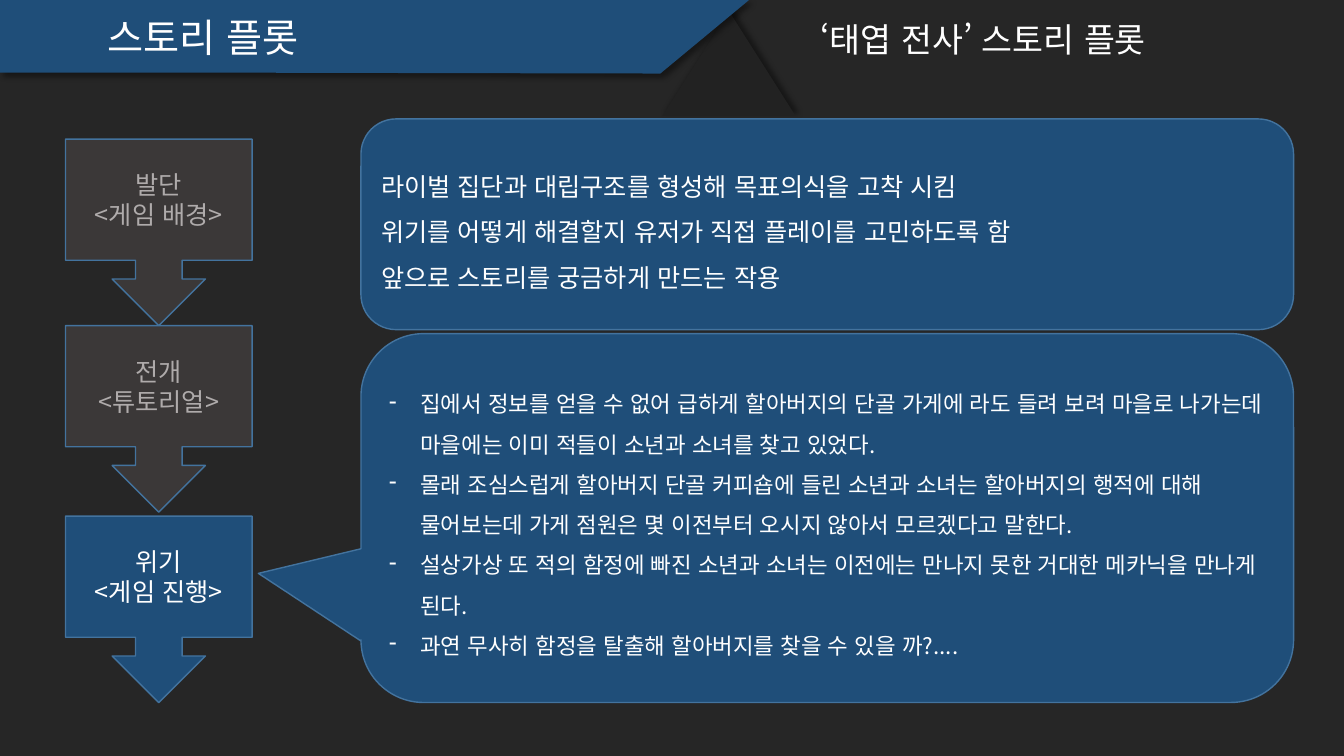
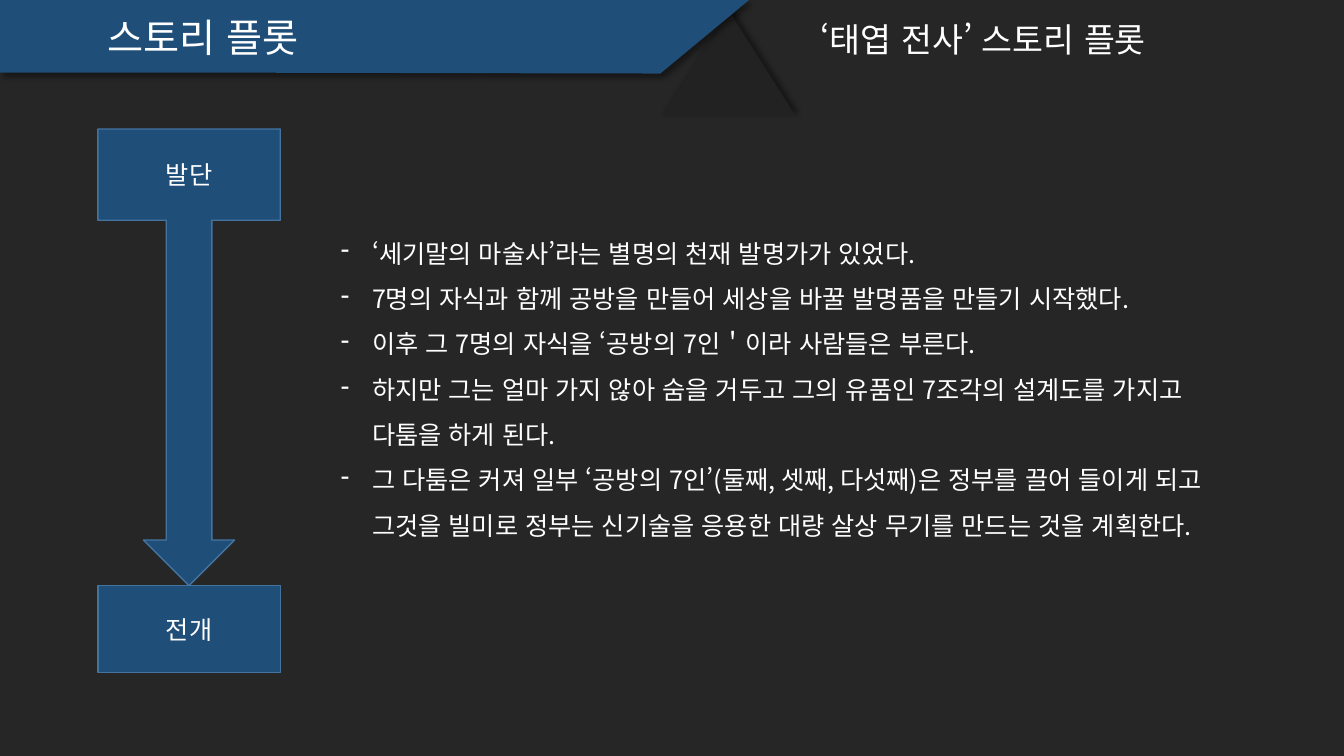
from collections import namedtuple

from lxml import etree
from pptx import Presentation
from pptx import util as u
from pptx.dml.color import RGBColor
from pptx.enum import lang, shapes, text
from pptx.oxml.ns import qn

PX = u.Inches(1) // 100
FONT = "Noto Sans CJK KR"
BACK, NAVY, EDGE, WEDGE = "262626", "1F4E79", "43739E", "222222"
DIM_FILL, DIM_TEXT, WHITE = "3B3838", "AFABAB", "FFFFFF"
KIND = shapes.MSO_SHAPE
LEFT, CENTER = text.PP_ALIGN.LEFT, text.PP_ALIGN.CENTER
TOP, MIDDLE = text.MSO_ANCHOR.TOP, text.MSO_ANCHOR.MIDDLE

Box = namedtuple("Box", "x y w h")


def paint(color_format, color):
    color_format.rgb = RGBColor.from_string(color)


def emu(box):
    return [value * PX for value in box]


def place(shape, box):
    shape.left, shape.top, shape.width, shape.height = emu(box)


def fill_shape(shape, fill, edge=None):
    shape.shadow.inherit = False
    shape.fill.solid()
    paint(shape.fill.fore_color, fill)
    if edge:
        paint(shape.line.color, edge)
        shape.line.width = u.Pt(1)
    else:
        shape.line.fill.background()


def cast_shadow(shape, degrees):
    effects = shape.element.spPr.find(qn("a:effectLst"))
    shadow = etree.SubElement(
        effects, qn("a:outerShdw"), blurRad=str(u.Pt(4)), dist=str(u.Pt(3)),
        dir=str(degrees * 60000), algn="ctr", rotWithShape="0")
    color = etree.SubElement(shadow, qn("a:srgbClr"), val="000000")
    etree.SubElement(color, qn("a:alpha"), val="40000")


def dash_bullet(para):
    props = para._p.get_or_add_pPr()
    indent = 31 * PX
    props.set("marL", str(indent))
    props.set("indent", str(-indent))
    etree.SubElement(props, qn("a:buFontTx"))
    etree.SubElement(props, qn("a:buChar"), char="-")


def write(shape, lines, size, color=WHITE, align=LEFT, anchor=MIDDLE,
          spacing=1.0, dashes=False, wrap=True, grow=False):
    frame = shape.text_frame
    frame.word_wrap = wrap
    frame.vertical_anchor = anchor
    fit = text.MSO_AUTO_SIZE
    frame.auto_size = fit.SHAPE_TO_FIT_TEXT if grow else fit.NONE
    for index, line in enumerate(lines):
        para = frame.add_paragraph() if index else frame.paragraphs[0]
        para.alignment = align
        para.line_spacing = spacing
        para.space_before = u.Pt(0)
        if dashes:
            dash_bullet(para)
        span = para.add_run()
        span.text = line
        span.font.size = u.Pt(size)
        span.font.name = FONT
        span.font.language_id = lang.MSO_LANGUAGE_ID.KOREAN
        paint(span.font.color, color)
        etree.SubElement(span._r.get_or_add_rPr(), qn("a:ea"), typeface=FONT)


def panel(page, kind, box, fill, lines, size=18, adjust=(), **style):
    shape = page.shapes.add_shape(kind, *emu(box))
    for index, value in enumerate(adjust):
        shape.adjustments[index] = value
    fill_shape(shape, fill, EDGE)
    write(shape, lines, size, **style)


# Shared background and title band, held by the master
def dress_master(deck, page):
    master = deck.slide_master
    master.background.fill.solid()
    paint(master.background.fill.fore_color, BACK)

    wedge = page.shapes.add_shape(
        KIND.ISOSCELES_TRIANGLE, *emu(Box(657, 11, 132, 104)))
    outline = page.shapes.build_freeform(0, 0, PX)
    outline.add_line_segments([(743, 0), (655, 73), (155, 72), (0, 72)])
    band = outline.convert_to_shape()

    parts = ((wedge, WEDGE, 315), (band, NAVY, 45))
    for index, (shape, fill, degrees) in enumerate(parts):
        fill_shape(shape, fill)
        cast_shadow(shape, degrees)
        shape.element.nvSpPr.cNvPr.set("id", str(101 + index))
        master.shapes.element.insert(2 + index, shape.element)


# Title on the band and heading to its right
def header(page, title, heading):
    style = dict(anchor=TOP, wrap=False, grow=True)
    place(page.shapes.title, Box(97, 8, 230, 57))
    write(page.shapes.title, [title], 28, **style)
    label = page.shapes.add_textbox(*emu(Box(804, 14, 374, 50)))
    write(label, [heading], 24, **style)


# Column of step arrows; the last one is active and stands at the bottom
def step_column(page, box, steps):
    side = box.w
    for index, lines in enumerate(steps):
        active = index == len(steps) - 1
        top = box.y + box.h - side if active else box.y + index * side
        panel(page, KIND.DOWN_ARROW_CALLOUT, Box(box.x, top, side, side),
              NAVY if active else DIM_FILL, lines, align=CENTER,
              color=WHITE if active else DIM_TEXT)


# Purpose panel above the story callout
def story_panels(page, box, purpose, story):
    upper, gap = 209, 4
    lower = Box(box.x, box.y + upper + gap, box.w, box.h - upper - gap)
    panel(page, KIND.ROUNDED_RECTANGULAR_CALLOUT, lower, NAVY, story, size=16,
          adjust=(-0.61, 0.15, 0.17), spacing=1.5, dashes=True)
    panel(page, KIND.ROUNDED_RECTANGLE, Box(box.x, box.y, box.w, upper),
          NAVY, purpose, spacing=1.5)


# Long arrow from the first stage to the next
def stage_arrow(page, box, start, end):
    foot = 86
    reach = box.h - foot
    panel(page, KIND.DOWN_ARROW_CALLOUT, Box(box.x, box.y, box.w, reach),
          NAVY, [start], adjust=(0.25, 0.25, 0.25, 0.2), align=CENTER)
    panel(page, KIND.RECTANGLE, Box(box.x, box.y + reach, box.w, foot),
          NAVY, [end], align=CENTER)


# List in the body placeholder
def story_list(page, box, lines):
    body = page.placeholders[1]
    place(body, box)
    write(body, lines, 18, anchor=TOP, spacing=1.5, dashes=True, grow=True)


def main():
    deck = Presentation()
    deck.slide_width, deck.slide_height = u.Inches(13.33), u.Inches(7.5)
    crisis = deck.slides.add_slide(deck.slide_layouts[5])
    opening = deck.slides.add_slide(deck.slide_layouts[1])
    dress_master(deck, crisis)
    for page in (crisis, opening):
        header(page, "스토리 플롯", "‘태엽 전사’ 스토리 플롯")

    story_panels(
        crisis, Box(358, 118, 925, 579),
        ["라이벌 집단과 대립구조를 형성해 목표의식을 고착 시킴",
         "위기를 어떻게 해결할지 유저가 직접 플레이를 고민하도록 함",
         "앞으로 스토리를 궁금하게 만드는 작용"],
        ["집에서 정보를 얻을 수 없어 급하게 할아버지의 단골 가게에 라도 들려 보려 "
         "마을로 나가는데 마을에는 이미 적들이 소년과 소녀를 찾고 있었다.",
         "몰래 조심스럽게 할아버지 단골 커피숍에 들린 소년과 소녀는 할아버지의 행적에 "
         "대해 물어보는데 가게 점원은 몇 이전부터 오시지 않아서 모르겠다고 말한다.",
         "설상가상 또 적의 함정에 빠진 소년과 소녀는 이전에는 만나지 못한 거대한 "
         "메카닉을 만나게 된다.",
         "과연 무사히 함정을 탈출해 할아버지를 찾을 수 있을 까?...."])
    step_column(crisis, Box(65, 138, 185, 559),
                [("발단", "<게임 배경>"), ("전개", "<튜토리얼>"),
                 ("위기", "<게임 진행>")])

    stage_arrow(opening, Box(97, 128, 181, 539), "발단", "전개")
    story_list(
        opening, Box(328, 216, 909, 368),
        ["‘세기말의 마술사’라는 별명의 천재 발명가가 있었다.",
         "7명의 자식과 함께 공방을 만들어 세상을 바꿀 발명품을 만들기 시작했다.",
         "이후 그 7명의 자식을 ‘공방의 7인＇이라 사람들은 부른다.",
         "하지만 그는 얼마 가지 않아 숨을 거두고 그의 유품인 7조각의 설계도를 가지고 "
         "다툼을 하게 된다.",
         "그 다툼은 커져 일부 ‘공방의 7인’(둘째, 셋째, 다섯째)은 정부를 끌어 들이게 "
         "되고 그것을 빌미로 정부는 신기술을 응용한 대량 살상 무기를 만드는 것을 "
         "계획한다."])
    deck.save("out.pptx")


if __name__ == "__main__":
    main()
